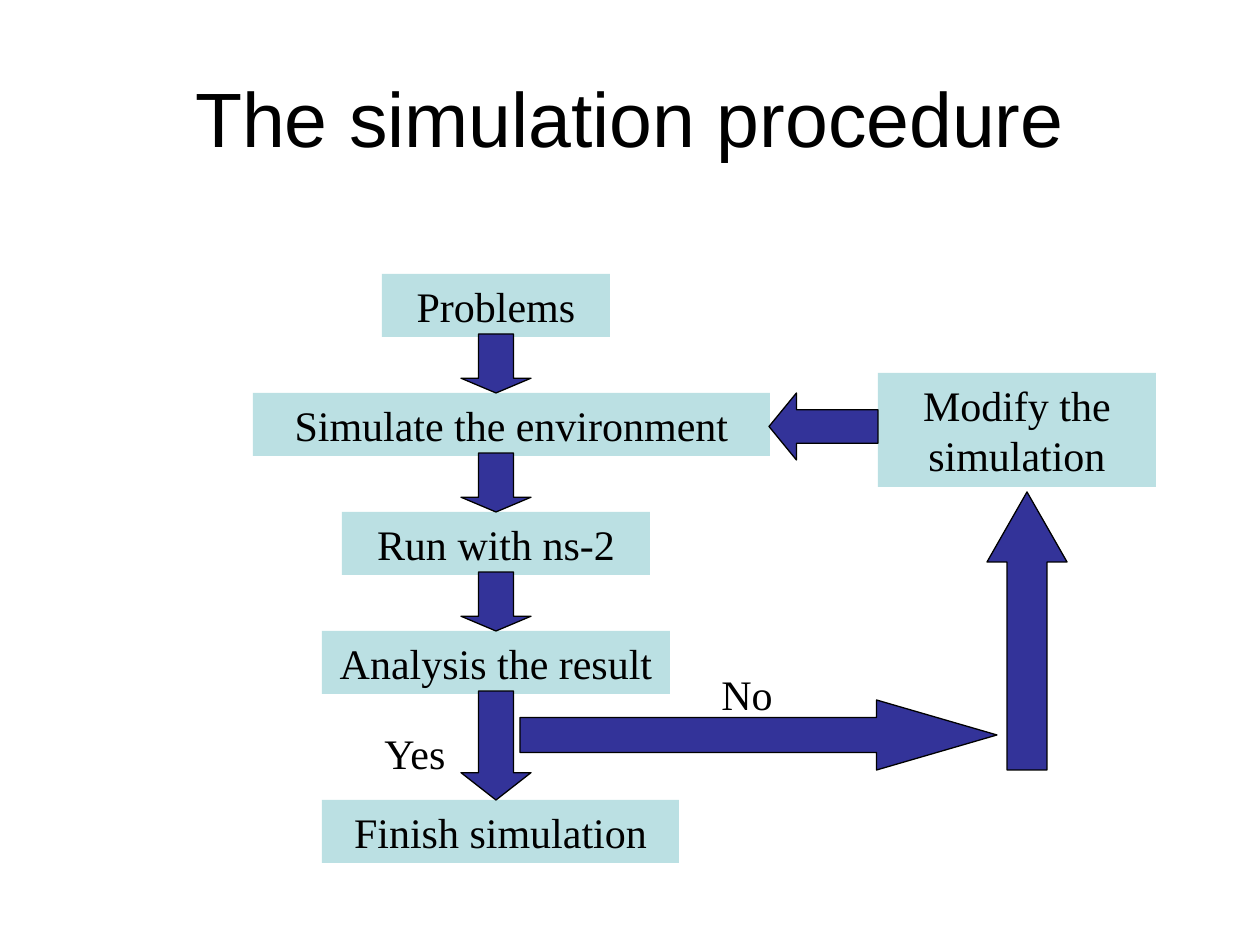
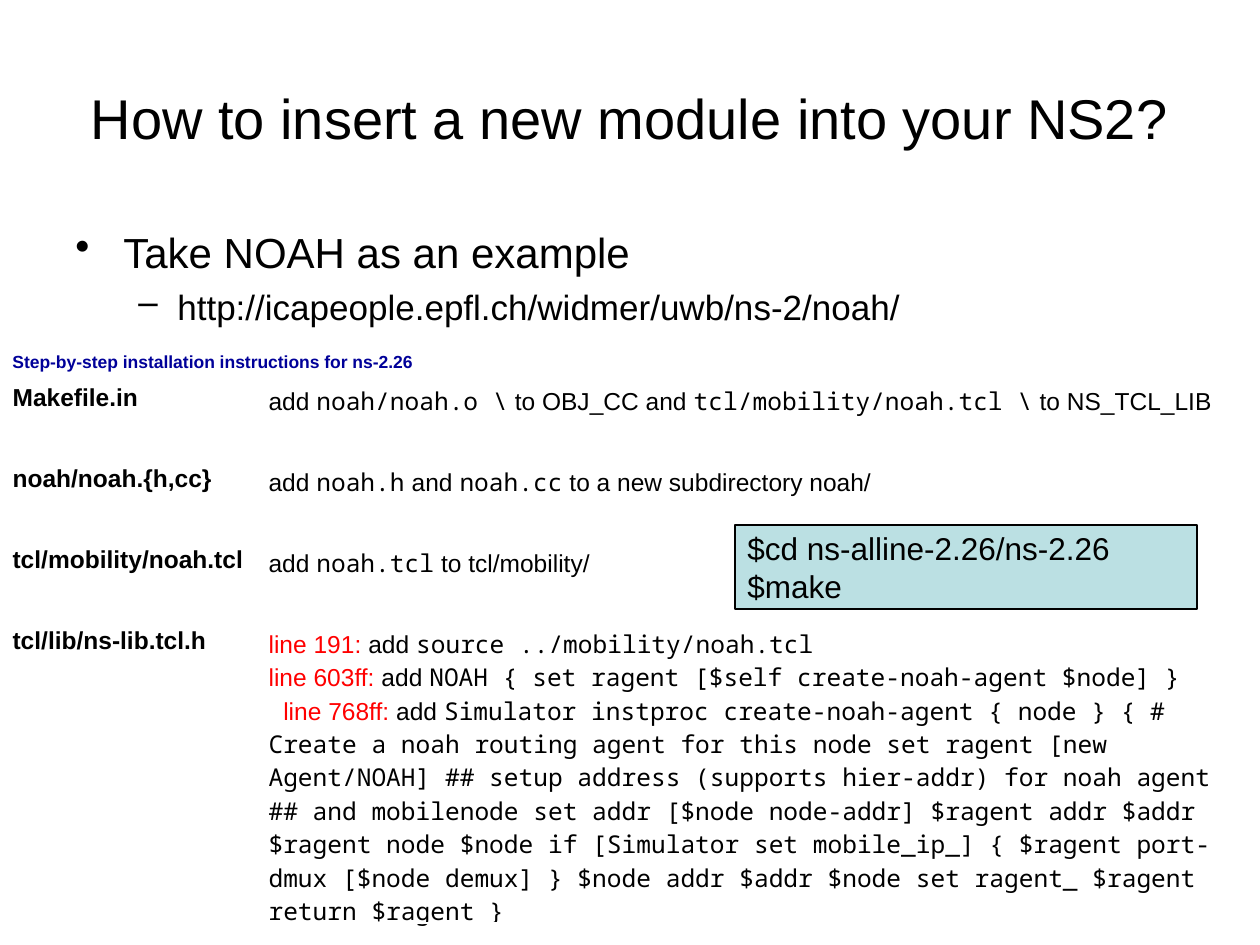
import pptx
import pptx.dml.color
import pptx.enum.shapes
import pptx.enum.text
import pptx.util
import lxml.etree

SCALE = 914400 / 126
BLACK, WHITE, RED, NAVY = "000000", "FFFFFF", "FF0000", "000099"
PALE, BLUE = "BBE0E3", "333399"
SANS, SERIF, MONO = "Arial", "Times New Roman", "Noto Sans Mono"
SHAPE = pptx.enum.shapes.MSO_SHAPE
ALIGN = pptx.enum.text.PP_ALIGN
ANCHOR = pptx.enum.text.MSO_ANCHOR


def px(n):
    return pptx.util.Emu(round(n * SCALE))


def paint(hue):
    return pptx.dml.color.RGBColor.from_string(hue)


def style(run, size, face=SANS, hue=BLACK, bold=False):
    font = run.font
    font.size = pptx.util.Pt(size)
    font.name = face
    font.color.rgb = paint(hue)
    font.bold = bold


def write(frame, text, size, face=SANS, hue=BLACK, bold=False,
          align=ALIGN.LEFT, anchor=ANCHOR.TOP, wrap=True):
    frame.text = text
    frame.word_wrap = wrap
    frame.vertical_anchor = anchor
    for para in frame.paragraphs:
        para.alignment = align
        for run in para.runs:
            style(run, size, face, hue, bold)


def label(slide, place, text, size, **looks):
    box = slide.shapes.add_textbox(*map(px, place))
    write(box.text_frame, text, size, **looks)
    return box


def title(slide, text, size):
    label(slide, (63, 38, 1134, 158), text, size,
          align=ALIGN.CENTER, anchor=ANCHOR.MIDDLE)


def block(slide, kind, place, fill, edge=True):
    shape = slide.shapes.add_shape(kind, *map(px, place))
    shape.shadow.inherit = False
    shape.fill.solid()
    shape.fill.fore_color.rgb = paint(fill)
    if edge:
        shape.line.color.rgb = paint(BLACK)
        shape.line.width = pptx.util.Pt(0.75)
    else:
        shape.line.fill.background()
    return shape


def step(slide, place, text):
    shape = block(slide, SHAPE.RECTANGLE, place, PALE, edge=False)
    write(shape.text_frame, text, 24, face=SERIF, align=ALIGN.CENTER,
          anchor=ANCHOR.MIDDLE)


def arrow(slide, kind, place, head):
    shape = block(slide, kind, place, BLUE)
    shape.adjustments[0] = 0.5
    shape.adjustments[1] = head


def bullet(para, mark, left, hang):
    props = para._p.get_or_add_pPr()
    props.set("marL", str(px(left)))
    props.set("indent", str(-px(hang)))
    tag = pptx.oxml.ns.qn("a:buChar")
    lxml.etree.SubElement(props, tag).set("char", mark)


def fill_cell(cell, lines, bold=False):
    cell.fill.solid()
    cell.fill.fore_color.rgb = paint(WHITE)
    frame = cell.text_frame
    for i, line in enumerate(lines):
        para = frame.paragraphs[0] if i == 0 else frame.add_paragraph()
        for text, face, hue in line:
            run = para.add_run()
            run.text = text
            style(run, 14, face, hue, bold)


def plain(text):
    return text, SANS, BLACK


def code(text):
    return text, MONO, BLACK


def alert(text):
    return text, SANS, RED


def draw_flow(slide):
    title(slide, "The simulation procedure", 44)
    steps = [("Problems", 382, 274, 228),
             ("Simulate the environment", 253, 393, 517),
             ("Run with ns-2", 342, 512, 308),
             ("Analysis the result", 322, 631, 348),
             ("Finish simulation", 322, 800, 357)]
    for text, left, top, width in steps:
        step(slide, (left, top, width, 63), text)
    for now, then in zip(steps, steps[1:]):
        top = now[2] + 60
        high = then[2] - top
        head = 0.25 if high < 70 else 0.39
        arrow(slide, SHAPE.DOWN_ARROW, (461, top, 70, high), head)
    arrow(slide, SHAPE.RIGHT_ARROW, (520, 700, 477, 70), 1.72)
    arrow(slide, SHAPE.UP_ARROW, (987, 492, 80, 278), 0.875)
    step(slide, (878, 373, 278, 114), "Modify the simulation")
    arrow(slide, SHAPE.LEFT_ARROW, (769, 393, 109, 67), 0.41)
    for text, left, top in [("Yes", 372, 721), ("No", 709, 662)]:
        label(slide, (left, top, 100, 63), text, 24, face=SERIF)


def draw_guide(slide):
    title(slide, "How to insert a new module into your NS2?", 32)
    body = label(slide, (63, 220, 1134, 120),
                 "Take NOAH as an example\n"
                 "http://icapeople.epfl.ch/widmer/uwb/ns-2/noah/", 24)
    first, second = body.text_frame.paragraphs
    second.level = 1
    second.space_before = pptx.util.Pt(5)
    style(second.runs[0], 20)
    bullet(first, "•", 48, 48)
    bullet(second, "–", 102, 39)
    label(slide, (0, 345, 425, 34),
          "Step-by-step installation instructions for ns-2.26", 10,
          hue=NAVY, bold=True, wrap=False)

    files = [
        ("Makefile.in", 81,
         [[plain("add "), code("noah/noah.o \\"), plain(" to OBJ_CC and "),
           code("tcl/mobility/noah.tcl \\"), plain(" to NS_TCL_LIB")]]),
        ("noah/noah.{h,cc}", 81,
         [[plain("add "), code("noah.h"), plain(" and "), code("noah.cc"),
           plain(" to a new subdirectory noah/")]]),
        ("tcl/mobility/noah.tcl", 81,
         [[plain("add "), code("noah.tcl"), plain(" to tcl/mobility/")]]),
        ("tcl/lib/ns-lib.tcl.h", 302,
         [[alert("line 191:"), plain(" add "),
           code("source ../mobility/noah.tcl")],
          [alert("line 603ff:"), plain(" add "),
           code("NOAH { set ragent [$self create-noah-agent $node] }")],
          [code(" "), alert("line 768ff:"), plain(" add "),
           code("Simulator instproc create-noah-agent { node } { # Create a "
                "noah routing agent for this node set ragent [new Agent/NOAH] "
                "## setup address (supports hier-addr) for noah agent ## and "
                "mobilenode set addr [$node node-addr] $ragent addr $addr "
                "$ragent node $node if [Simulator set mobile_ip_] { $ragent "
                "port-dmux [$node demux] } $node addr $addr $node set ragent_ "
                "$ragent return $ragent }")]])]
    high = sum(row[1] for row in files)
    place = map(px, (0, 378, 1260, high))
    table = slide.shapes.add_table(len(files), 2, *place).table
    table.first_row = table.horz_banding = False
    for col, width in zip(table.columns, (256, 1004)):
        col.width = px(width)
    for i, (name, tall, lines) in enumerate(files):
        table.rows[i].height = px(tall)
        fill_cell(table.cell(i, 0), [[plain(name)]], bold=True)
        fill_cell(table.cell(i, 1), lines)

    shell = block(slide, SHAPE.RECTANGLE, (735, 525, 462, 84), PALE)
    write(shell.text_frame, "$cd ns-alline-2.26/ns-2.26\n$make", 18,
          anchor=ANCHOR.MIDDLE, wrap=False)


def main():
    deck = pptx.Presentation()
    deck.slide_width, deck.slide_height = px(1260), px(945)
    for draw in (draw_flow, draw_guide):
        draw(deck.slides.add_slide(deck.slide_layouts[6]))
    deck.save("out.pptx")


if __name__ == "__main__":
    main()
